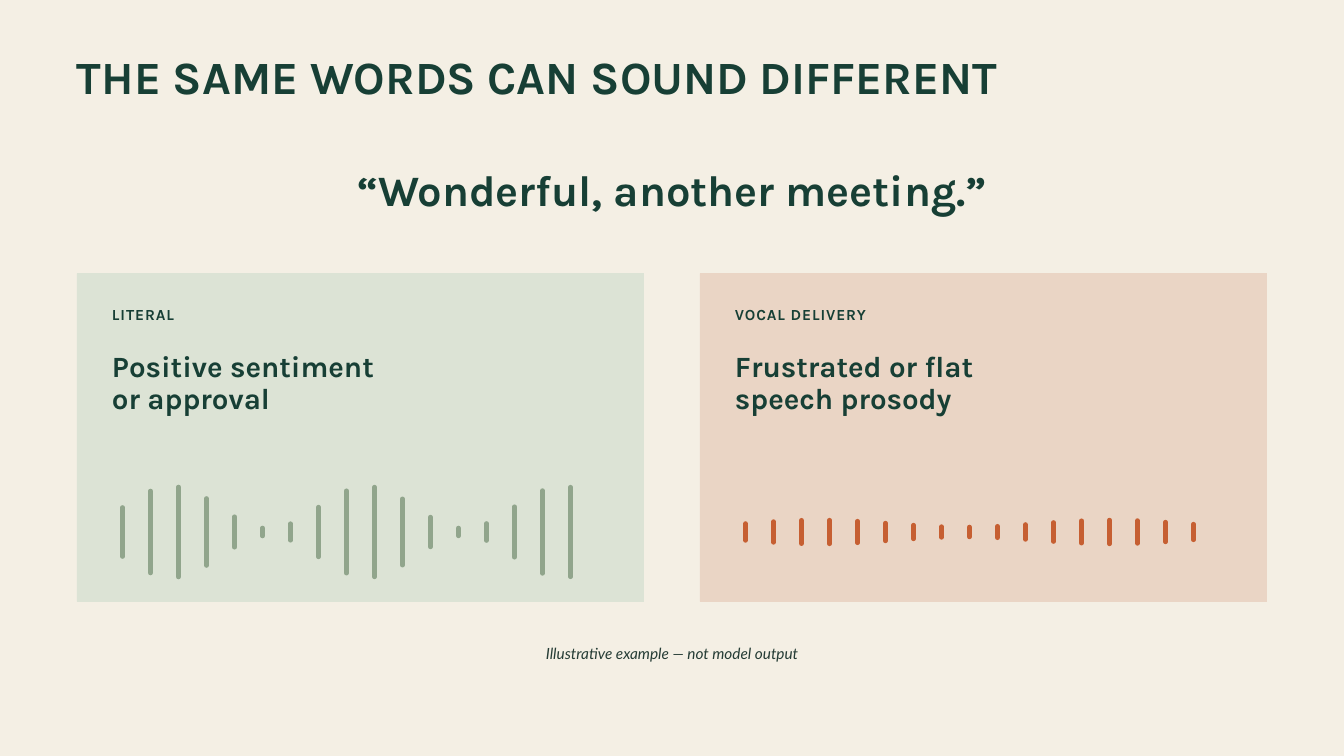
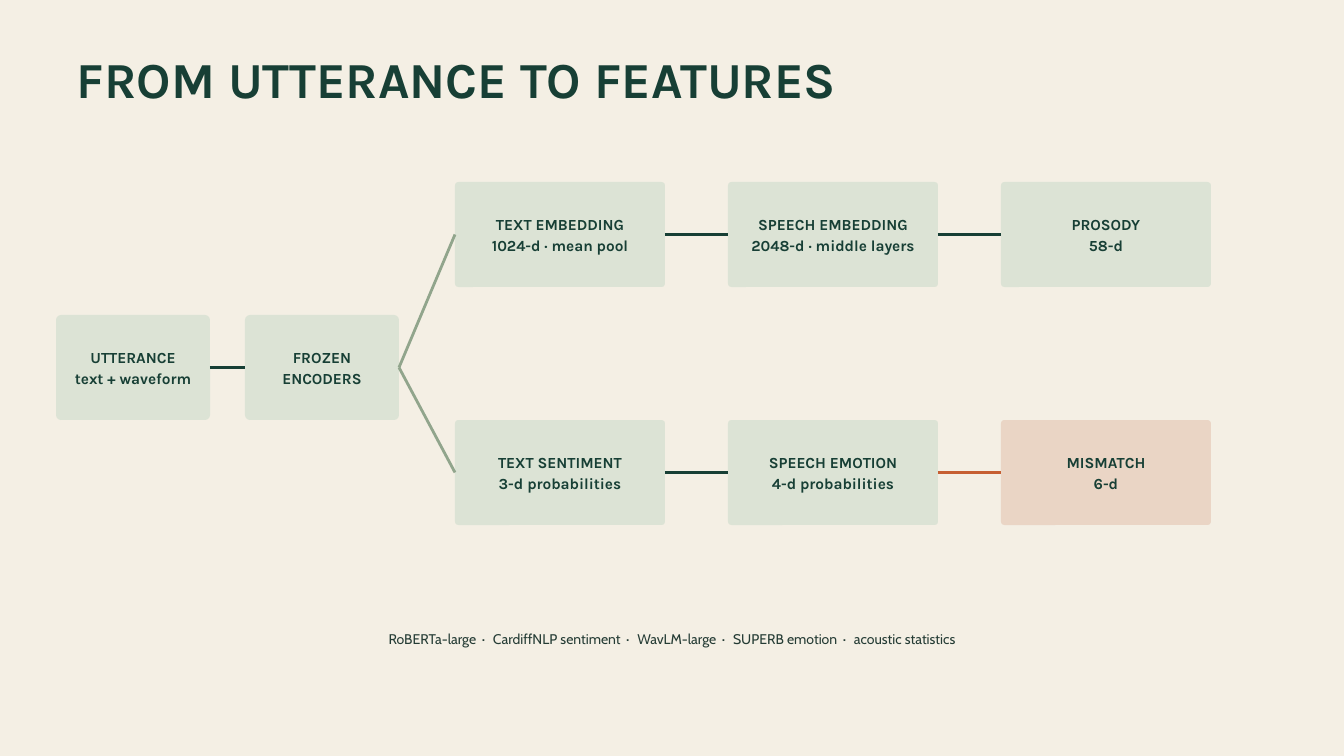
from math import sin
from lxml.etree import SubElement
from pptx import Presentation
from pptx.dml.color import RGBColor
from pptx.enum.shapes import MSO_CONNECTOR, MSO_SHAPE
from pptx.enum.text import MSO_ANCHOR, MSO_AUTO_SIZE, PP_ALIGN
from pptx.oxml.ns import qn
from pptx.util import Emu, Pt

CREAM, GREEN, INK = "F4EFE4", "173F35", "253C35"
MINT, SAGE, PEACH, RUST = "DCE3D5", "91A58C", "EAD5C5", "C65F32"

HEADING = {"name": "Karla", "bold": True}
SMALL = {**HEADING, "size": Pt(16.5)}
NOTE = {"name": "Lato", "italic": True, "size": Pt(16.5)}
SOURCES = {"name": "Cabin", "size": Pt(15)}


def px(n):
    return Emu(round(n * 9525))


def rgb(color):
    return RGBColor.from_string(color)


def write(tf, lines, font, leading, color=GREEN, align=PP_ALIGN.LEFT, insets=(0, 0, 0, 0)):
    tf.word_wrap = True
    for side, inset in zip(("left", "top", "right", "bottom"), insets):
        setattr(tf, f"margin_{side}", px(inset))
    for i, line in enumerate(lines):
        p = tf.paragraphs[0] if i == 0 else tf.add_paragraph()
        p.alignment = align
        p.line_spacing = Pt(leading)
        for text, spacing in [(line, 0)] if isinstance(line, str) else line:
            r = p.add_run()
            r.text = text
            for key, value in font.items():
                setattr(r.font, key, value)
            r.font.color.rgb = rgb(color)
            if spacing:
                r._r.get_or_add_rPr().set("spc", str(round(spacing * 100)))


def add_text(s, x, y, w, h, lines, font, leading, **style):
    tf = s.shapes.add_textbox(px(x), px(y), px(w), px(h)).text_frame
    write(tf, lines, font, leading, **style)
    tf.auto_size = MSO_AUTO_SIZE.SHAPE_TO_FIT_TEXT


def add_panel(s, x, y, w, h, fill, radius):
    sp = s.shapes.add_shape(MSO_SHAPE.ROUNDED_RECTANGLE, px(x), px(y), px(w), px(h))
    sp.adjustments[0] = radius / min(w, h)
    sp.shadow.inherit = False
    sp.fill.solid()
    sp.fill.fore_color.rgb = rgb(fill)
    sp.line.fill.background()
    return sp


def add_line(s, x1, y1, x2, y2, color, width):
    c = s.shapes.add_connector(MSO_CONNECTOR.STRAIGHT, px(x1), px(y1), px(x2), px(y2))
    c.line.color.rgb = rgb(color)
    c.line.width = Pt(width)
    SubElement(c._element.spPr, qn("a:effectLst"))
    return c


def add_slide(prs, title, size):
    s = prs.slides.add_slide(prs.slide_layouts[6])
    s.background.fill.solid()
    s.background.fill.fore_color.rgb = rgb(CREAM)
    add_text(s, 110, 81, 1500, round(size * 1.42), [title],
             {**HEADING, "size": Pt(size)}, round(size * 1.02, 1))
    return s


def add_wave(s, x, middle, color, base, swing, step):
    for i in range(17):
        half = (base + swing * sin(step * i)) / 2
        bar = add_line(s, x + 40 * i, middle - half, x + 40 * i, middle + half, color, 5)
        bar.line._ln.set("cap", "rnd")


def add_card(s, x, y, fill, label, reading, wave):
    add_panel(s, x, y, 810, 470, fill, 1)
    add_text(s, x + 50, y + 41, 710, 30, [[(label, 1)]], SMALL, 23.1)
    add_text(s, x + 50, y + 111, 710, 95, reading, {**HEADING, "size": Pt(31.5)}, 34.6)
    add_wave(s, x + 65, y + 370, *wave)


def add_step(s, x, y, w, lines, fill=MINT, radius=5):
    sp = add_panel(s, x, y, w, 150, fill, radius)
    write(sp.text_frame, lines, SMALL, 23.1, align=PP_ALIGN.CENTER, insets=(6, 6, 6, 10))
    sp.text_frame.vertical_anchor = MSO_ANCHOR.MIDDLE
    return sp


def join(s, start, end, color=GREEN):
    c = add_line(s, 0, 0, 0, 0, color, 3)
    c.begin_connect(start, 3)
    c.end_connect(end, 1)


def add_branch(s, x, y, steps, last_fill=MINT, last_link=GREEN):
    fills = (MINT, MINT, last_fill)
    boxes = [add_step(s, x + 390 * i, y, 300, lines, fill)
             for i, (lines, fill) in enumerate(zip(steps, fills))]
    for start, end, color in zip(boxes, boxes[1:], (GREEN, last_link)):
        join(s, start, end, color)
    return boxes[0]


def words_slide(prs):
    s = add_slide(prs, "THE SAME WORDS CAN SOUND DIFFERENT", 49.5)
    add_text(s, 110, 220, 1700, 84, ["“Wonderful, another meeting.”"],
             {**HEADING, "size": Pt(46.5)}, 65.1, align=PP_ALIGN.CENTER)
    add_card(s, 110, 390, MINT, "LITERAL", ["Positive sentiment", "or approval"],
             (SAGE, 70, 60, 0.9))
    add_card(s, 1000, 390, PEACH, "VOCAL DELIVERY", ["Frustrated or flat", "speech prosody"],
             (RUST, 24, 10, 0.6))
    add_text(s, 650, 916, 620, 30, ["Illustrative example — not model output"],
             NOTE, 23.1, color=INK, align=PP_ALIGN.CENTER)


def features_slide(prs):
    s = add_slide(prs, "FROM UTTERANCE TO FEATURES", 54)
    utterance = add_step(s, 80, 450, 220, ["UTTERANCE", "text + waveform"], radius=7)
    encoders = add_step(s, 350, 450, 220, ["FROZEN", "ENCODERS"], radius=7)
    join(s, utterance, encoders)
    embedding = add_branch(s, 650, 260, [
        ["TEXT EMBEDDING", "1024-d · mean pool"],
        ["SPEECH EMBEDDING", "2048-d · middle layers"],
        ["PROSODY", "58-d"]])
    sentiment = add_branch(s, 650, 600, [
        ["TEXT SENTIMENT", "3-d probabilities"],
        ["SPEECH EMOTION", "4-d probabilities"],
        ["MISMATCH", "6-d"]], PEACH, RUST)
    for first in (embedding, sentiment):
        join(s, encoders, first, SAGE)
    names = ["RoBERTa-large", "CardiffNLP sentiment", "WavLM-large", "SUPERB emotion",
             "acoustic statistics"]
    runs = [(names[0], 0)]
    for name in names[1:]:
        runs += [(" · ", 2.5), (name, 0)]
    add_text(s, 210, 899, 1500, 25, [runs], SOURCES, 19.5, color=INK, align=PP_ALIGN.CENTER)


def main():
    prs = Presentation()
    prs.slide_width, prs.slide_height = px(1920), px(1080)
    words_slide(prs)
    features_slide(prs)
    prs.save("out.pptx")


if __name__ == "__main__":
    main()
